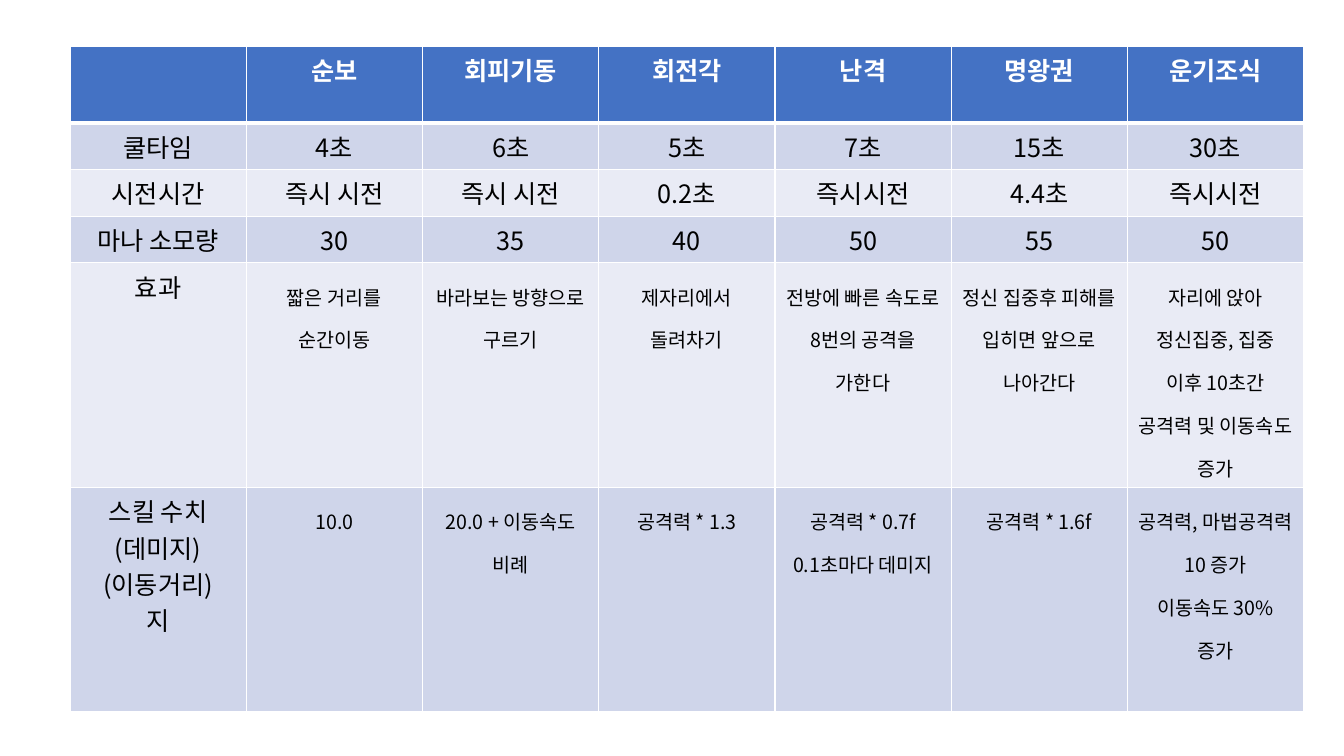
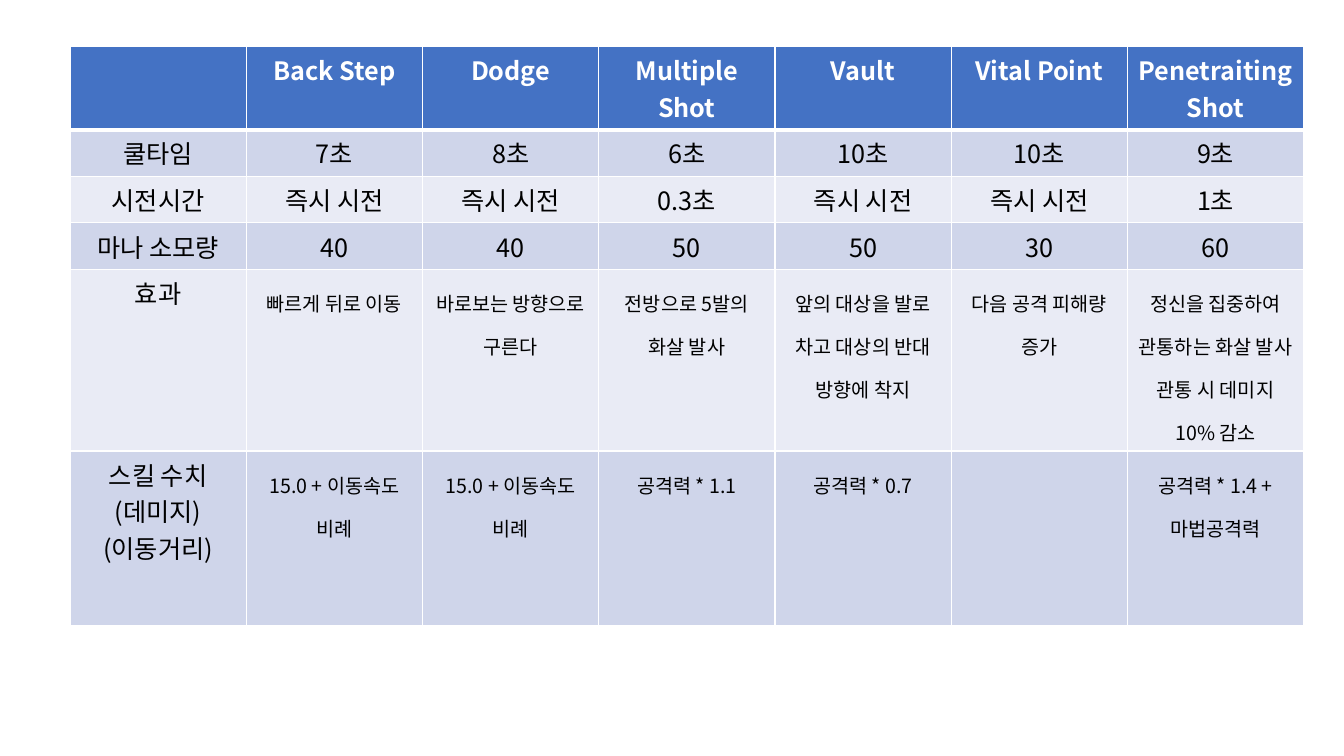
from lxml import etree
from pptx import Presentation
from pptx.dml.color import RGBColor
from pptx.enum.text import PP_ALIGN as Align
from pptx.oxml.ns import qn
from pptx.util import Pt

FONT = "Noto Sans CJK KR"
COLORS = {
    "header": "4472C4",
    "dark_band": "CFD5EA",
    "light_band": "E9EBF5",
    "border": "FFFFFF",
    "header_text": "FFFFFF",
    "body_text": "000000",
}

# In each cell "\n" starts a paragraph and "\v" breaks a line.
SKILL_TABLES = [
    [
        ["", "순보", "회피기동", "회전각", "난격", "명왕권", "운기조식"],
        ["쿨타임", "4초", "6초", "5초", "7초", "15초", "30초"],
        ["시전시간", "즉시 시전", "즉시 시전", "0.2초", "즉시시전", "4.4초", "즉시시전"],
        ["마나 소모량", "30", "35", "40", "50", "55", "50"],
        [
            "효과",
            "짧은 거리를\v순간이동",
            "바라보는 방향으로 구르기",
            "제자리에서 돌려차기",
            "전방에 빠른 속도로 8번의 공격을 가한다",
            "정신 집중후 피해를 입히면 앞으로 나아간다",
            "자리에 앉아 정신집중, 집중 이후 10초간 공격력 및 이동속도 증가",
        ],
        [
            "스킬 수치\n(데미지)\n(이동거리)\n지",
            "10.0",
            "20.0 + 이동속도 비례",
            "공격력 * 1.3",
            "공격력 * 0.7f\n0.1초마다 데미지",
            "공격력 * 1.6f",
            "공격력, 마법공격력 10 증가\n이동속도 30% 증가",
        ],
    ],
    [
        ["", "Back Step", "Dodge", "Multiple Shot", "Vault", "Vital Point", "Penetraiting Shot"],
        ["쿨타임", "7초", "8초", "6초", "10초", "10초", "9초"],
        ["시전시간", "즉시 시전", "즉시 시전", "0.3초", "즉시 시전", "즉시 시전", "1초"],
        ["마나 소모량", "40", "40", "50", "50", "30", "60"],
        [
            "효과",
            "빠르게 뒤로 이동",
            "바로보는 방향으로 구른다",
            "전방으로 5발의 화살 발사",
            "앞의 대상을 발로 차고 대상의 반대 방향에 착지",
            "다음 공격 피해량 증가",
            "정신을 집중하여 관통하는 화살 발사\n관통 시 데미지 10% 감소",
        ],
        [
            "스킬 수치\n(데미지)\n(이동거리)",
            "15.0 + 이동속도 비례",
            "15.0 + 이동속도 비례",
            "공격력 * 1.1",
            "공격력 * 0.7",
            "",
            "공격력 * 1.4 + 마법공격력",
        ],
    ],
]

LEFT, TOP = 50, 33.3
COLUMN_WIDTH = 125.9
ROW_HEIGHTS = [54.6, 31.9, 31.9, 31.9, 124.8, 124.8]
FIRST_DETAIL_ROW = 4
THIN, THICK = 1, 3


def add_borders(cell, widths):
    properties = cell._tc.get_or_add_tcPr()
    for side, width in widths.items():
        line = etree.SubElement(properties, qn(f"a:ln{side}"), w=str(Pt(width)))
        fill = etree.SubElement(line, qn("a:solidFill"))
        etree.SubElement(fill, qn("a:srgbClr"), val=COLORS["border"])


def write_text(cell, text, line_spacing, color, font_format):
    cell.text_frame.text = text
    for paragraph in cell.text_frame.paragraphs:
        paragraph.alignment = Align.CENTER
        if line_spacing:
            paragraph.line_spacing = line_spacing
        for run in paragraph.runs:
            for name, value in font_format.items():
                setattr(run.font, name, value)
            run.font.color.rgb = RGBColor.from_string(color)
            etree.SubElement(run._r.get_or_add_rPr(), qn("a:ea"), typeface=FONT)


def format_cell(cell, text, row, column):
    is_header = row == 0
    is_detail = row >= FIRST_DETAIL_ROW and column > 0
    add_borders(cell, {
        "L": THIN,
        "R": THIN,
        "T": THICK if row == 1 else THIN,
        "B": THICK if is_header else THIN,
    })
    band = "header" if is_header else "dark_band" if row % 2 else "light_band"
    cell.fill.solid()
    cell.fill.fore_color.rgb = RGBColor.from_string(COLORS[band])
    write_text(
        cell,
        text,
        1.5 if is_detail else None,
        COLORS["header_text" if is_header else "body_text"],
        {"name": FONT, "size": Pt(14 if is_detail else 18), "bold": is_header},
    )


def add_skill_table(slide, rows):
    column_count = len(rows[0])
    table = slide.shapes.add_table(
        len(rows), column_count, Pt(LEFT), Pt(TOP),
        Pt(COLUMN_WIDTH * column_count), Pt(sum(ROW_HEIGHTS)),
    ).table
    for column in table.columns:
        column.width = Pt(COLUMN_WIDTH)
    for table_row, height in zip(table.rows, ROW_HEIGHTS):
        table_row.height = Pt(height)
    for row, texts in enumerate(rows):
        for column, text in enumerate(texts):
            format_cell(table.cell(row, column), text, row, column)


def main():
    presentation = Presentation()
    presentation.slide_width, presentation.slide_height = Pt(960), Pt(540)
    blank_layout = presentation.slide_layouts[6]
    for rows in SKILL_TABLES:
        add_skill_table(presentation.slides.add_slide(blank_layout), rows)
    presentation.save("out.pptx")


if __name__ == "__main__":
    main()
